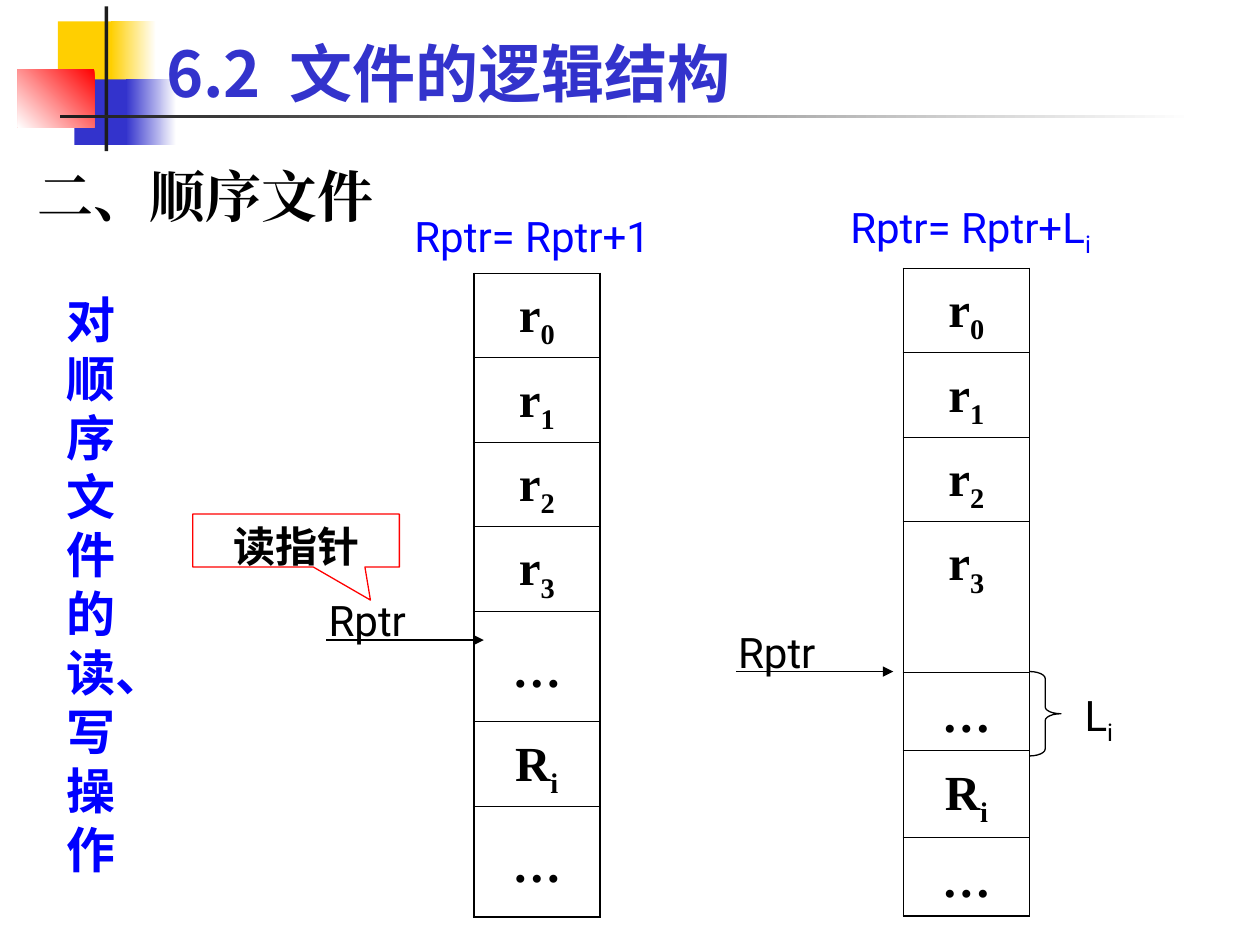
"""Build the slide on reading and writing sequential files."""
from lxml import etree
from pptx import Presentation
from pptx.dml.color import RGBColor
from pptx.enum import shapes, text
from pptx.oxml import ns
from pptx.util import Inches, Pt

BLACK, BLUE, NAVY, RED, WHITE = "000000", "0000FF", "3333CC", "FF0000", "FFFFFF"
GOLD, CHARCOAL = "FFCF01", "1C1C1C"
SANS, SERIF, CJK = "Roboto", "Times New Roman", "Noto Sans CJK SC"
THIN, THICK = 0.45, 1.08

DECORATION = [
    ((0.46, 0.17, 0.48, 0.52), [GOLD], 0),
    ((0.88, 0.17, 0.36, 0.52), [WHITE, GOLD], 180),
    ((0.59, 0.63, 0.46, 0.52), [NAVY], 0),
    ((1, 0.63, 0.4, 0.52), [WHITE, NAVY], 180),
    ((0.14, 0.55, 0.61, 0.46), [RED, WHITE], 225),
    ((0.83, 0.05, 0.03, 1.15), [CHARCOAL], 0),
    ((0.48, 0.91, 9, 0.03), [WHITE, CHARCOAL], 180),
]
RECORDS = [("r", "0"), ("r", "1"), ("r", "2"), ("r", "3"), ("…", ""), ("R", "i"), ("…", "")]
FILES = [
    (3.76, 2.17, [0.67, 0.67, 0.67, 0.67, 0.88, 0.67, 0.88]),
    (7.17, 2.13, [0.67, 0.67, 0.67, 1.2, 0.62, 0.69, 0.62]),
]
POINTERS = [(2.59, 5.08), (5.84, 5.33)]
LABELS = [
    ((3.19, 1.62, 2.58, 0.5), ("Rptr= Rptr+1", ""), BLUE),
    ((6.65, 1.55, 2.58, 0.56), ("Rptr= Rptr+L", "i"), BLUE),
    ((8.51, 5.42, 1, 0.56), ("L", "i"), BLACK),
]
TITLE = ("6.2  文件的逻辑结构", "")
HEADING = ("二、顺序文件", "")
SIDE_NOTE = ("对顺序文件的读、写操作", "")
CALLOUT = ("读指针", "")


def rgb(value):
    return RGBColor.from_string(value)


def inches(box):
    return [Inches(length) for length in box]


def write(frame, wording, size, font, color, bold=False, align=None, spacing=None):
    frame.word_wrap = True
    paragraph = frame.paragraphs[0]
    paragraph.alignment = align
    paragraph.line_spacing = spacing
    for part, baseline in zip(wording, (None, "-25000")):
        if not part:
            continue
        run = paragraph.add_run()
        run.text = part
        run.font.size, run.font.bold, run.font.name = Pt(size), bold, font
        run.font.color.rgb = rgb(color)
        properties = run.font._element
        etree.SubElement(properties, ns.qn("a:ea"), typeface=font)
        if baseline:
            properties.set("baseline", baseline)


def add_text(slide, box, *wording_and_style, anchor=text.MSO_ANCHOR.TOP, **options):
    frame = slide.shapes.add_textbox(*inches(box)).text_frame
    frame.vertical_anchor = anchor
    write(frame, *wording_and_style, **options)


def add_figure(slide, kind, box, line=None):
    figure = slide.shapes.add_shape(kind, *inches(box))
    figure.shadow.inherit = False
    if line:
        figure.line.color.rgb = rgb(line)
        figure.line.width = Pt(0.75)
    else:
        figure.line.fill.background()
    return figure


def add_decoration(slide, box, colors, angle):
    fill = add_figure(slide, shapes.MSO_SHAPE.RECTANGLE, box).fill
    if len(colors) == 1:
        fill.solid()
        fill.fore_color.rgb = rgb(colors[0])
        return
    fill.gradient()
    fill.gradient_angle = angle
    for stop, color in zip(fill.gradient_stops, colors):
        stop.color.rgb = rgb(color)


def add_borders(cell, widths):
    properties = cell._tc.get_or_add_tcPr()
    for side, width in zip("LRTB", widths):
        border = etree.SubElement(properties, ns.qn(f"a:ln{side}"), w=str(Pt(width)))
        solid = etree.SubElement(border, ns.qn("a:solidFill"))
        etree.SubElement(solid, ns.qn("a:srgbClr"), val=BLACK)


def add_file(slide, left, top, heights):
    box = inches((left, top, 1, sum(heights)))
    table = slide.shapes.add_table(len(heights), 1, *box).table
    table.first_row = table.horz_banding = False
    last = len(heights) - 1
    for index, (height, record) in enumerate(zip(heights, RECORDS)):
        table.rows[index].height = Inches(height)
        cell = table.cell(index, 0)
        add_borders(cell, (THICK, THICK, THIN if index else THICK,
                           THICK if index == last else THIN))
        cell.fill.background()
        if not record[1]:
            cell.vertical_anchor = text.MSO_ANCHOR.MIDDLE
        write(cell.text_frame, record, 28, SERIF, BLACK, bold=True,
              align=text.PP_ALIGN.CENTER, spacing=1.15)


def add_pointer(slide, left, y):
    ends = inches((left, y, left + 1.25, y))
    arrow = slide.shapes.add_connector(shapes.MSO_CONNECTOR.STRAIGHT, *ends)
    arrow.line.color.rgb = rgb(BLACK)
    arrow.line.width = Pt(0.75)
    etree.SubElement(arrow.line._get_or_add_ln(), ns.qn("a:tailEnd"), type="triangle")
    etree.SubElement(arrow._element.spPr, ns.qn("a:effectLst"))
    add_text(slide, (left - 0.08, y - 0.41, 1, 0.5), ("Rptr", ""), 24, SANS, BLACK)


def main():
    deck = Presentation()
    deck.slide_width, deck.slide_height = Inches(10), Inches(7.5)
    slide = deck.slides.add_slide(deck.slide_layouts[6])

    for part in DECORATION:
        add_decoration(slide, *part)
    for file in FILES:
        add_file(slide, *file)
    for pointer in POINTERS:
        add_pointer(slide, *pointer)

    callout = add_figure(slide, shapes.MSO_SHAPE.RECTANGULAR_CALLOUT,
                         (1.53, 4.08, 1.64, 0.42), RED)
    callout.adjustments[0], callout.adjustments[1] = 0.36, 1.125
    callout.fill.solid()
    callout.fill.fore_color.rgb = rgb(WHITE)
    callout.text_frame.vertical_anchor = text.MSO_ANCHOR.TOP
    write(callout.text_frame, CALLOUT, 24, SANS, BLACK, bold=True,
          align=text.PP_ALIGN.CENTER)

    brace = add_figure(slide, shapes.MSO_SHAPE.RIGHT_BRACE, (8.17, 5.33, 0.25, 0.67), BLACK)
    brace.adjustments[0] = 0.22
    brace.fill.background()

    for box, wording, color in LABELS:
        add_text(slide, box, wording, 24, SANS, color)
    add_text(slide, (1.22, 0.21, 8.52, 0.71), TITLE, 36, CJK, NAVY, bold=True,
             anchor=text.MSO_ANCHOR.BOTTOM)
    add_text(slide, (0.2, 1.15, 9.61, 5.51), HEADING, 32, SERIF, BLACK, bold=True,
             spacing=1.15)
    add_text(slide, (0.43, 2.25, 0.87, 4.77), SIDE_NOTE, 28, SANS, BLUE, bold=True)
    deck.save("out.pptx")


if __name__ == "__main__":
    main()
